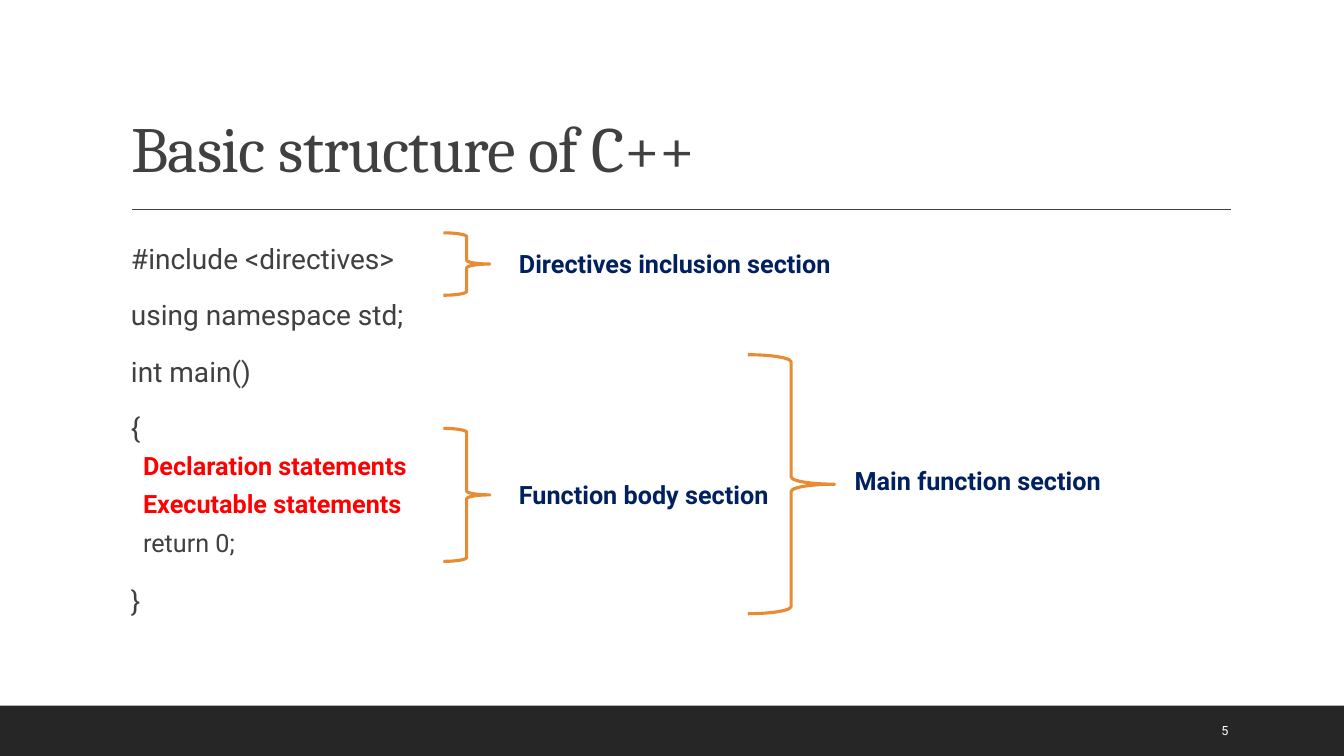
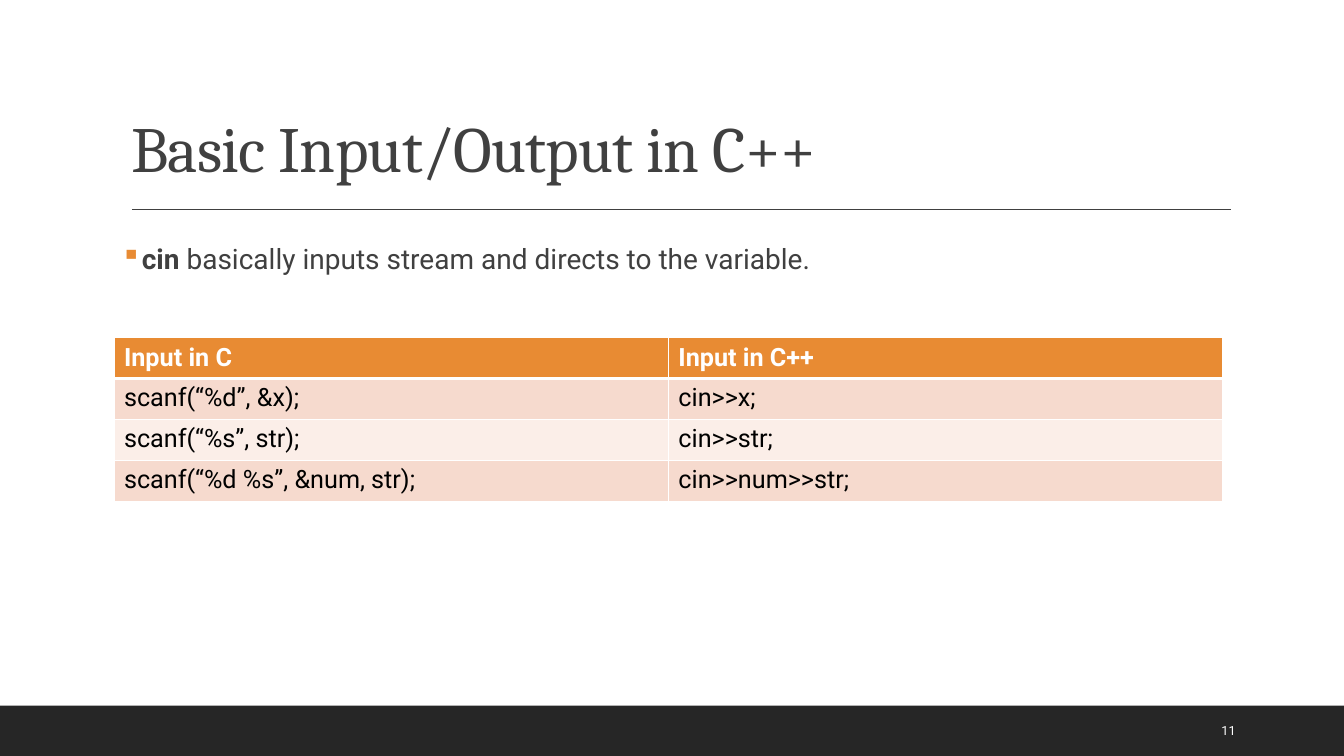
from pptx import Presentation
from pptx.dml.color import RGBColor
from pptx.enum import shapes, text
from pptx.oxml.ns import qn
from pptx.util import Pt
from lxml import etree

WHITE = RGBColor(0xFF, 0xFF, 0xFF)
BLACK = RGBColor(0, 0, 0)
GREY = RGBColor(0x40, 0x40, 0x40)
DARK = RGBColor(0x26, 0x26, 0x26)
ORANGE = RGBColor(0xE8, 0x8B, 0x33)
PEACH = RGBColor(0xF6, 0xDA, 0xCE)
PALE = RGBColor(0xFB, 0xEE, 0xE8)
RED = RGBColor(0xFF, 0, 0)
NAVY = RGBColor(0, 0x20, 0x60)

HEAD_FONT, BODY_FONT = "Cambria", "Roboto"
WIDE, HIGH, BAND = 960, 540, 36
TITLE = (86.4, 22.3, 792, 114.5)
BODY = (86.4, 166.3, 792, 296)
GRID = (81.4, 241.2, 792, 116.8)

CODE = [
    ("#include <directives>", None),
    ("using namespace std;", None),
    ("int main()", None),
    ("{", None),
    ("Declaration statements", RED),
    ("Executable statements", RED),
    ("return 0;", GREY),
    ("}", None),
]
BRACES = [
    ((316.8, 166.3, 33.1, 44.6), (363.6, 174.2), "Directives inclusion section"),
    ((534.2, 253.4, 61.9, 185), (603.4, 329), "Main function section"),
    ((316.8, 306, 33.1, 95), (363.6, 339.1), "Function body section"),
]
INPUTS = [
    ("Input in C", "Input in C++"),
    ("scanf(“%d”, &x);", "cin>>x;"),
    ("scanf(“%s”, str);", "cin>>str;"),
    ("scanf(“%d %s”, &num, str);", "cin>>num>>str;"),
]


def pts(box):
    return [Pt(v) for v in box]


def style(run, size, color, bold=False, face=BODY_FONT):
    font = run.font
    font.size, font.bold, font.name = Pt(size), bold, face
    font.color.rgb = color


def add_text(slide, box, words=""):
    frame = slide.shapes.add_textbox(*pts(box)).text_frame
    frame.word_wrap = True
    frame.text = words
    return frame


def add_frame(slide, words, number):
    """Place the band, rule, title and page number shared by all slides."""
    band = slide.shapes.add_shape(shapes.MSO_SHAPE.RECTANGLE,
                                  *pts((0, HIGH - BAND, WIDE, BAND)))
    band.shadow.inherit = False
    band.fill.solid()
    band.fill.fore_color.rgb = DARK
    band.line.fill.background()

    rule = slide.shapes.add_connector(shapes.MSO_CONNECTOR.STRAIGHT,
                                      *pts((94.3, 149.5, 879.1, 149.5)))
    rule.line.color.rgb = GREY
    rule.line.width = Pt(1)
    etree.SubElement(rule._element.spPr, qn("a:effectLst"))

    title = slide.shapes.title
    title.left, title.top, title.width, title.height = pts(TITLE)
    frame = title.text_frame
    frame.text = words
    frame.auto_size = text.MSO_AUTO_SIZE.NONE
    frame.vertical_anchor = text.MSO_ANCHOR.BOTTOM
    para = frame.paragraphs[0]
    para.alignment = text.PP_ALIGN.LEFT
    para.line_spacing = 0.9
    run = para.runs[0]
    style(run, 46, GREY, face=HEAD_FONT)
    run.font._element.set("spc", "-50")

    page = add_text(slide, (865.4, 507.6, 61.2, 28.8), number)
    page.vertical_anchor = text.MSO_ANCHOR.MIDDLE
    style(page.paragraphs[0].runs[0], 9, WHITE)


def add_body(slide, box):
    frame = add_text(slide, box)
    frame.margin_left = frame.margin_right = 0
    return frame


def indent(para, left, hang=0):
    props = para._p.get_or_add_pPr()
    props.set("marL", str(Pt(left)))
    props.set("indent", str(-Pt(hang)))
    return props


def add_code(slide, box):
    frame = add_body(slide, box)
    for i, (line, color) in enumerate(CODE):
        para = frame.add_paragraph() if i else frame.paragraphs[0]
        para.text = line
        inner = color is not None
        indent(para, 15.8 if inner else 7.2)
        para.line_spacing = 1.0 if inner else 1.1
        para.space_after = Pt(4 if inner else 2)
        if i:
            para.space_before = Pt(2 if inner else 12)
        style(para.runs[0], 18 if inner else 20, color or GREY, color == RED)


def add_brace(slide, box, spot, words):
    brace = slide.shapes.add_shape(shapes.MSO_SHAPE.RIGHT_BRACE, *pts(box))
    brace.shadow.inherit = False
    brace.fill.background()
    brace.line.color.rgb = ORANGE
    brace.line.width = Pt(2.25)
    label = add_text(slide, (*spot, 270, 28.8), words)
    style(label.paragraphs[0].runs[0], 18, NAVY, True)


def add_point(slide, box):
    para = add_body(slide, box).paragraphs[0]
    props = indent(para, 12, 12)
    tint = etree.SubElement(props, qn("a:buClr"))
    etree.SubElement(tint, qn("a:srgbClr"), val=str(ORANGE))
    etree.SubElement(props, qn("a:buChar"), char="▪")
    para.line_spacing = 1.1
    for words, bold in (("cin", True),
                        (" basically inputs stream and directs to the variable.", False)):
        run = para.add_run()
        run.text = words
        style(run, 20, GREY, bold)


def add_edges(cell, row):
    """Draw white cell borders, thick below the header row."""
    props = cell._tc.get_or_add_tcPr()
    for side in "LRTB":
        thick = (row, side) in ((0, "B"), (1, "T"))
        edge = etree.SubElement(props, qn("a:ln" + side), w=str(Pt(3 if thick else 1)))
        fill = etree.SubElement(edge, qn("a:solidFill"))
        etree.SubElement(fill, qn("a:srgbClr"), val=str(WHITE))


def add_grid(slide, box, rows):
    table = slide.shapes.add_table(len(rows), len(rows[0]), *pts(box)).table
    for r, row in enumerate(rows):
        table.rows[r].height = Pt(box[3] / len(rows))
        for c, words in enumerate(row):
            cell = table.cell(r, c)
            cell.text = words
            add_edges(cell, r)
            cell.fill.solid()
            cell.fill.fore_color.rgb = (PEACH if r % 2 else PALE) if r else ORANGE
            style(cell.text_frame.paragraphs[0].runs[0], 18,
                  BLACK if r else WHITE, r == 0)


def main():
    deck = Presentation()
    deck.slide_width, deck.slide_height = Pt(WIDE), Pt(HIGH)
    layout = deck.slide_layouts.get_by_name("Title Only")

    slide = deck.slides.add_slide(layout)
    add_frame(slide, "Basic structure of C++", "5")
    add_code(slide, BODY)
    for box, spot, words in BRACES:
        add_brace(slide, box, spot, words)

    slide = deck.slides.add_slide(layout)
    add_frame(slide, "Basic Input/Output in C++", "11")
    add_grid(slide, GRID, INPUTS)
    add_point(slide, BODY)

    deck.save("out.pptx")


if __name__ == "__main__":
    main()
